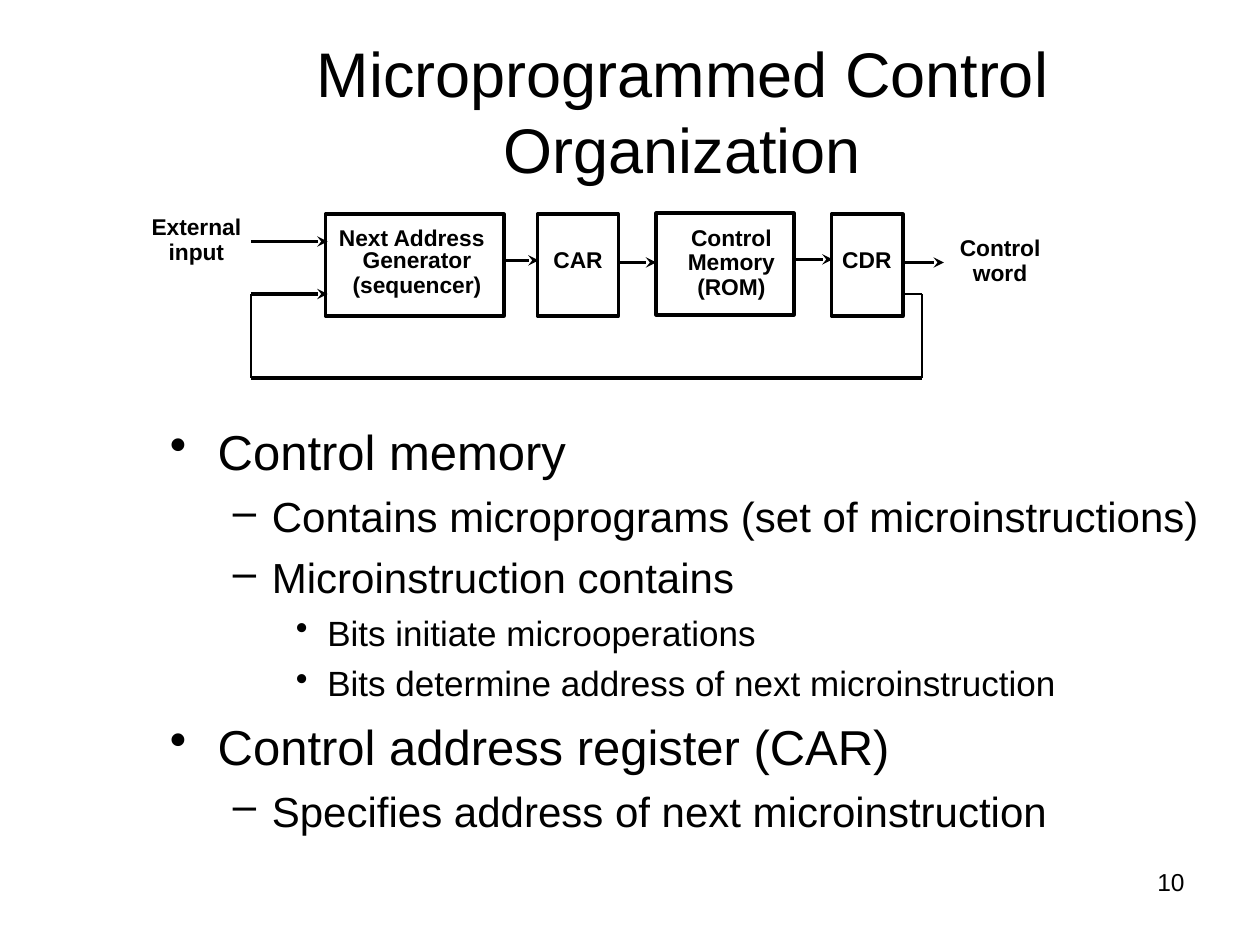
import pptx
import pptx.dml.color
import pptx.enum.shapes
import pptx.enum.text
import pptx.oxml
import pptx.oxml.ns
import pptx.util

COLORS = {"ink": "000000", "paper": "FFFFFF"}
FONT = "Arial"
COLUMNS, ROWS = 120, 90
WIDTH, HEIGHT = pptx.util.Inches(10), pptx.util.Inches(7.5)
ALIGN = pptx.enum.text.PP_ALIGN
ANCHOR = pptx.enum.text.MSO_ANCHOR
AUTO_SIZE = pptx.enum.text.MSO_AUTO_SIZE

# Per level: size, space before, left indent, hanging indent, bullet
LEVELS = [
    (28, 7, 0.38, 0.38, "•"),
    (24, 6, 0.81, 0.31, "–"),
    (20, 5, 1.25, 0.25, "•"),
]
BODY = [
    (0, "Control memory"),
    (1, "Contains microprograms (set of microinstructions)"),
    (1, "Microinstruction contains"),
    (2, "Bits initiate microoperations"),
    (2, "Bits determine address of next microinstruction"),
    (0, "Control address register (CAR)"),
    (1, "Specifies address of next microinstruction"),
]

# Grid cells: left, top, width, height
BLOCKS = [
    (31, 20.4, 17, 9.7),
    (51.2, 20.4, 7.7, 9.7),
    (62.5, 20.3, 13.1, 9.7),
    (79.2, 20.4, 6.8, 9.7),
]
LABELS = [
    (["External", "input"], (13.2, 20, 11, 5.9)),
    (["Next Address"], (31, 21, 16.4, 3.5)),
    (["Generator", "(sequencer)"], (32.2, 23.1, 15, 5.9)),
    (["CAR"], (51.3, 23.1, 7.5, 3.5)),
    (["Control", "Memory", "(ROM)"], (64.2, 21, 10.9, 8.2)),
    (["CDR"], (79, 23.1, 7.1, 3.5)),
    (["Control", "word"], (90.1, 22, 10.3, 5.9)),
]

# Grid points: start x, start y, end x, end y
FEED_LEFT, FEED_RIGHT, FEED_TOP, FEED_BOTTOM = 23.9, 87.8, 28, 36
ARROWS = [
    (FEED_LEFT, 23, 31.2, 23),
    (FEED_LEFT, FEED_TOP, 31.2, FEED_TOP),
    (47.9, 24.8, 51.3, 24.8),
    (58.9, 25, 62.5, 25),
    (75.7, 24.7, 79.3, 24.7),
    (86.2, 25, 89.9, 25),
]
FEEDBACK = [
    (FEED_LEFT, FEED_BOTTOM, FEED_RIGHT, FEED_BOTTOM, 2),
    (86.2, FEED_TOP, FEED_RIGHT, FEED_TOP, 1.5),
    (FEED_RIGHT, FEED_TOP, FEED_RIGHT, FEED_BOTTOM, 1.5),
    (FEED_LEFT, FEED_TOP, FEED_LEFT, FEED_BOTTOM, 1.5),
]


def color(name):
    return pptx.dml.color.RGBColor.from_string(COLORS[name])


def on_grid(*cells):
    """Turn alternating column and row counts into lengths."""
    units = (WIDTH / COLUMNS, HEIGHT / ROWS)
    return [round(n * units[i % 2]) for i, n in enumerate(cells)]


def write(p, text, size, bold=False, **paragraph_format):
    for name, value in paragraph_format.items():
        setattr(p, name, value)
    r = p.add_run()
    r.text = text
    font = {"name": FONT, "size": pptx.util.Pt(size), "bold": bold}
    for name, value in font.items():
        setattr(r.font, name, value)
    r.font.color.rgb = color("ink")


def add_text_box(s, cells, wrap=True):
    tf = s.shapes.add_textbox(*on_grid(*cells)).text_frame
    tf.word_wrap = wrap
    return tf


def add_title(s, text):
    sp = s.shapes.title
    sp.left, sp.top, sp.width, sp.height = on_grid(14, 3, 102, 15)
    tf = sp.text_frame
    tf.auto_size = AUTO_SIZE.NONE
    tf.vertical_anchor = ANCHOR.MIDDLE
    write(tf.paragraphs[0], text, 36, alignment=ALIGN.CENTER)


def set_bullet(p, char, left, hanging):
    pPr = p._p.get_or_add_pPr()
    pPr.set("marL", str(pptx.util.Inches(left)))
    pPr.set("indent", str(-pptx.util.Inches(hanging)))
    bullet = pptx.oxml.parse_xml(
        f'<a:buChar {pptx.oxml.ns.nsdecls("a")} char="{char}"/>')
    pPr.append(bullet)


def add_body(s):
    tf = add_text_box(s, (15, 26, 102, 55))
    tf.margin_top = pptx.util.Inches(1.18)
    for i, (level, text) in enumerate(BODY):
        p = tf.add_paragraph() if i else tf.paragraphs[0]
        size, before, left, hanging, char = LEVELS[level]
        write(p, text, size, level=level, space_before=pptx.util.Pt(before))
        set_bullet(p, char, left, hanging)


def add_block(s, cells):
    sp = s.shapes.add_shape(
        pptx.enum.shapes.MSO_SHAPE.RECTANGLE, *on_grid(*cells))
    sp.shadow.inherit = False
    sp.fill.solid()
    sp.fill.fore_color.rgb = color("paper")
    sp.line.color.rgb = color("ink")
    sp.line.width = pptx.util.Pt(2)


def add_label(s, lines, cells):
    tf = add_text_box(s, cells, wrap=False)
    tf.auto_size = AUTO_SIZE.SHAPE_TO_FIT_TEXT
    for i, line in enumerate(lines):
        p = tf.add_paragraph() if i else tf.paragraphs[0]
        write(p, line, 13, bold=True, alignment=ALIGN.CENTER, line_spacing=0.9)


def add_line(s, ends, width=2, arrow=False):
    sp = s.shapes.add_connector(
        pptx.enum.shapes.MSO_CONNECTOR.STRAIGHT, *on_grid(*ends))
    sp.line.color.rgb = color("ink")
    sp.line.width = pptx.util.Pt(width)
    ns = pptx.oxml.ns.nsdecls("a")
    if arrow:
        sp.line._get_or_add_ln().append(
            pptx.oxml.parse_xml(f'<a:tailEnd {ns} type="stealth"/>'))
    sp._element.spPr.append(pptx.oxml.parse_xml(f"<a:effectLst {ns}/>"))


def add_diagram(s):
    for cells in BLOCKS:
        add_block(s, cells)
    for lines, cells in LABELS:
        add_label(s, lines, cells)
    for ends in ARROWS:
        add_line(s, ends, arrow=True)
    for *ends, width in FEEDBACK:
        add_line(s, ends, width)


def add_page_number(s, number):
    tf = add_text_box(s, (86, 82, 28, 6.2))
    write(tf.paragraphs[0], number, 14, alignment=ALIGN.RIGHT)


def main():
    prs = pptx.Presentation()
    prs.slide_width, prs.slide_height = WIDTH, HEIGHT
    s = prs.slides.add_slide(prs.slide_layouts[5])
    add_page_number(s, "10")
    add_body(s)
    add_title(s, "Microprogrammed Control Organization")
    add_diagram(s)
    prs.save("out.pptx")


if __name__ == "__main__":
    main()
